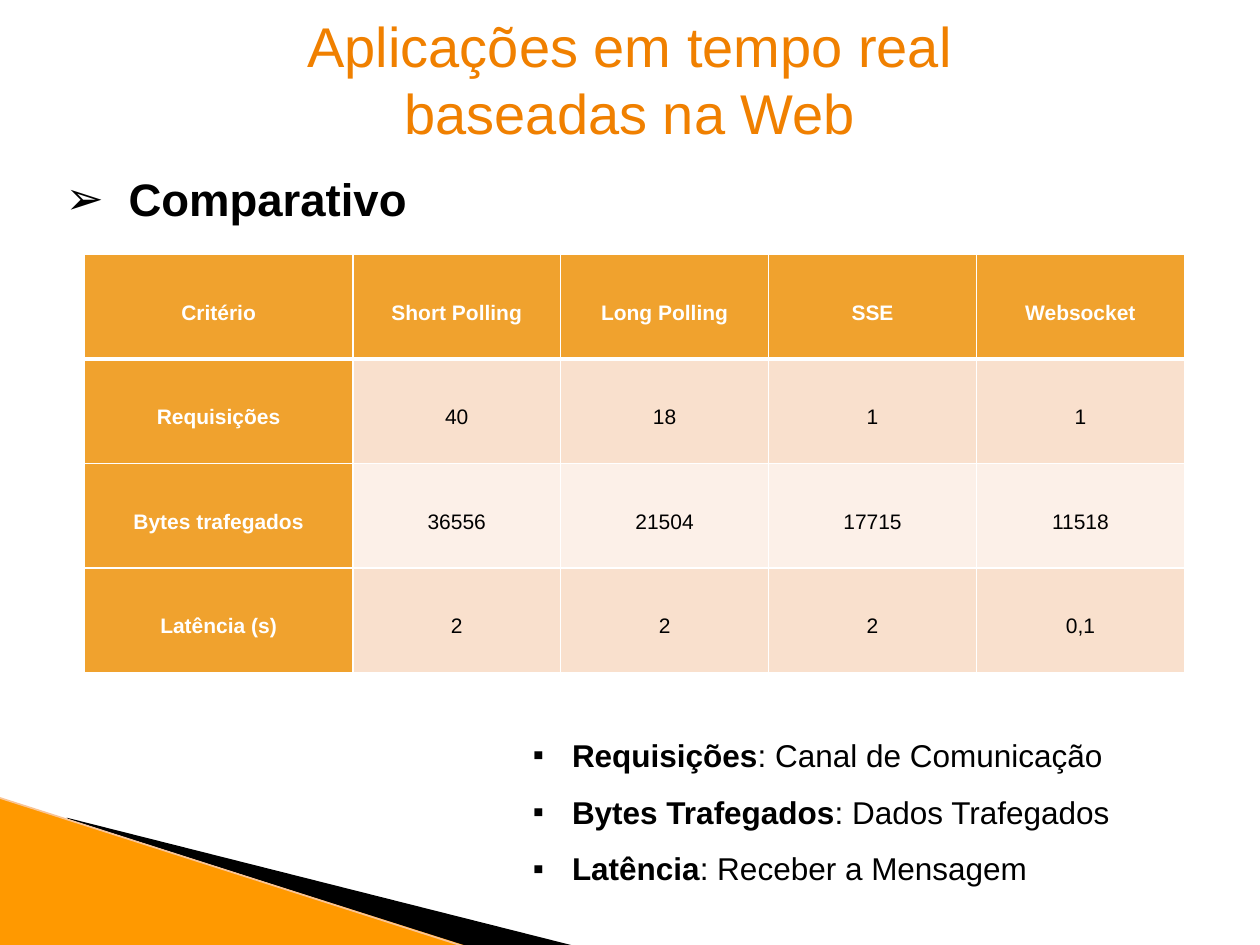
from dataclasses import dataclass

from lxml import etree
from pptx import Presentation
from pptx.dml.color import RGBColor
from pptx.enum.shapes import MSO_CONNECTOR, MSO_SHAPE
from pptx.enum.text import MSO_ANCHOR, MSO_AUTO_SIZE, PP_ALIGN
from pptx.oxml.ns import qn
from pptx.util import Inches, Pt

CENTER, LEFT = PP_ALIGN.CENTER, PP_ALIGN.LEFT
TOP, MIDDLE = MSO_ANCHOR.TOP, MSO_ANCHOR.MIDDLE
NO_AUTOFIT = MSO_AUTO_SIZE.NONE
STRAIGHT = MSO_CONNECTOR.STRAIGHT
RIGHT_TRIANGLE = MSO_SHAPE.RIGHT_TRIANGLE

BLACK = RGBColor(0x00, 0x00, 0x00)
WHITE = RGBColor(0xFF, 0xFF, 0xFF)
TITLE_ORANGE = RGBColor(0xF0, 0x80, 0x00)
WEDGE_ORANGE = RGBColor(0xFF, 0x99, 0x00)
EDGE_PEACH = RGBColor(0xF9, 0xC4, 0x95)
HEADER_ORANGE = RGBColor(0xF0, 0xA2, 0x2E)
BAND_DARK = RGBColor(0xF9, 0xE0, 0xCD)
BAND_LIGHT = RGBColor(0xFC, 0xF0, 0xE8)
FONT = "Arial"

COMPARISON = [
    ["Critério", "Short Polling", "Long Polling", "SSE", "Websocket"],
    ["Requisições", "40", "18", "1", "1"],
    ["Bytes trafegados", "36556", "21504", "17715", "11518"],
    ["Latência (s)", "2", "2", "2", "0,1"],
]
COLUMN_WIDTHS = [2.13, 1.65, 1.65, 1.65, 1.65]
ROW_HEIGHT = 0.83


@dataclass
class Box:
    left: float
    top: float
    width: float
    height: float

    def lengths(self):
        return [Inches(v) for v in (self.left, self.top, self.width, self.height)]


@dataclass
class Definition:
    term: str
    meaning: str = ""


DEFINITIONS = [
    Definition("Requisições", ": Canal de Comunicação"),
    Definition("Bytes Trafegados", ": Dados Trafegados"),
    Definition("Latência", ": Receber a Mensagem"),
]


def place(placeholder, box: Box):
    """Move a placeholder and return its emptied, top-anchored text frame."""
    placeholder.left, placeholder.top, placeholder.width, placeholder.height = box.lengths()
    frame = placeholder.text_frame
    frame.word_wrap = True
    frame.auto_size = NO_AUTOFIT
    frame.vertical_anchor = TOP
    return frame


def style_run(run, size: float, color: RGBColor, bold: bool = False) -> None:
    run.font.name = FONT
    run.font.size = Pt(size)
    run.font.bold = bold
    run.font.color.rgb = color


def fill_list(placeholder, box: Box, entries: list[Definition], bullet: str,
              indent: float, size: float, line_spacing: float) -> None:
    frame = place(placeholder, box)
    for index, entry in enumerate(entries):
        paragraph = frame.paragraphs[0] if index == 0 else frame.add_paragraph()
        paragraph.alignment = LEFT
        paragraph.line_spacing = line_spacing
        paragraph.space_before = Pt(0)
        properties = paragraph._p.get_or_add_pPr()
        properties.set("marL", str(Inches(indent)))
        properties.set("indent", str(-Inches(indent)))
        etree.SubElement(properties, qn("a:buChar"), char=bullet)
        for text, bold in ((entry.term, True), (entry.meaning, False)):
            if text:
                run = paragraph.add_run()
                run.text = text
                style_run(run, size, BLACK, bold)


def draw_corner(shapes) -> None:
    builder = shapes.build_freeform(Inches(0.53), Inches(6.49))
    builder.add_line_segments(
        [(Inches(x), Inches(y)) for x, y in [(4.57, 7.51), (3.72, 7.52), (0.54, 6.5)]])
    shadow_wedge = builder.convert_to_shape()
    wedge = shapes.add_shape(RIGHT_TRIANGLE, *Box(-0.01, 6.33, 3.72, 1.18).lengths())
    for shape, color in ((shadow_wedge, BLACK), (wedge, WEDGE_ORANGE)):
        shape.shadow.inherit = False
        shape.fill.solid()
        shape.fill.fore_color.rgb = color
        shape.line.fill.background()

    edge = shapes.add_connector(
        STRAIGHT, Inches(-0.01), Inches(6.33), Inches(3.71), Inches(7.52))
    edge.line.color.rgb = EDGE_PEACH
    edge.line.width = Pt(0.95)
    etree.SubElement(edge._element.spPr, qn("a:effectLst"))


def set_borders(cell, widths: dict[str, float]) -> None:
    properties = cell._tc.get_or_add_tcPr()
    for side, width in widths.items():
        line = etree.SubElement(properties, qn(f"a:ln{side}"), w=str(Pt(width)))
        solid = etree.SubElement(line, qn("a:solidFill"))
        etree.SubElement(solid, qn("a:srgbClr"), val=str(WHITE))


def draw_comparison(shapes) -> None:
    rows, columns = len(COMPARISON), len(COLUMN_WIDTHS)
    box = Box(0.67, 2.02, sum(COLUMN_WIDTHS), rows * ROW_HEIGHT)
    table = shapes.add_table(rows, columns, *box.lengths()).table
    table.first_col = True
    for column, width in zip(table.columns, COLUMN_WIDTHS):
        column.width = Inches(width)
    for r, values in enumerate(COMPARISON):
        table.rows[r].height = Inches(ROW_HEIGHT)
        for c, value in enumerate(values):
            cell = table.cell(r, c)
            heading = r == 0 or c == 0
            set_borders(cell, {"L": 1, "R": 1, "T": 3 if r == 1 else 1,
                               "B": 3 if r == 0 else 1})
            cell.fill.solid()
            band = BAND_DARK if r % 2 else BAND_LIGHT
            cell.fill.fore_color.rgb = HEADER_ORANGE if heading else band
            cell.margin_left = cell.margin_right = Inches(0.07)
            cell.margin_top = cell.margin_bottom = 0
            cell.vertical_anchor = MIDDLE
            paragraph = cell.text_frame.paragraphs[0]
            paragraph.text = value
            paragraph.alignment = CENTER
            paragraph.line_spacing = 1.5
            style_run(paragraph.runs[0], 12, WHITE if heading else BLACK, heading)


def main() -> None:
    presentation = Presentation()
    presentation.slide_width, presentation.slide_height = Inches(10), Inches(7.5)
    slide = presentation.slides.add_slide(presentation.slide_layouts.get_by_name("Two Content"))
    title, heading, definitions = slide.placeholders

    title_frame = place(title, Box(2.09, 0.04, 5.82, 1.18))
    title_frame.text = "Aplicações em tempo real baseadas na Web"
    title_frame.paragraphs[0].alignment = CENTER
    style_run(title_frame.paragraphs[0].runs[0], 32, TITLE_ORANGE)

    draw_corner(slide.shapes)
    fill_list(heading, Box(0.42, 1.31, 9.15, 0.53), [Definition("Comparativo")],
              "➢", 0.5, 26, 1.0)
    draw_comparison(slide.shapes)
    fill_list(definitions, Box(4.13, 5.64, 5.12, 1.77), DEFINITIONS, "▪", 0.31, 18, 1.5)

    presentation.save("out.pptx")


if __name__ == "__main__":
    main()
